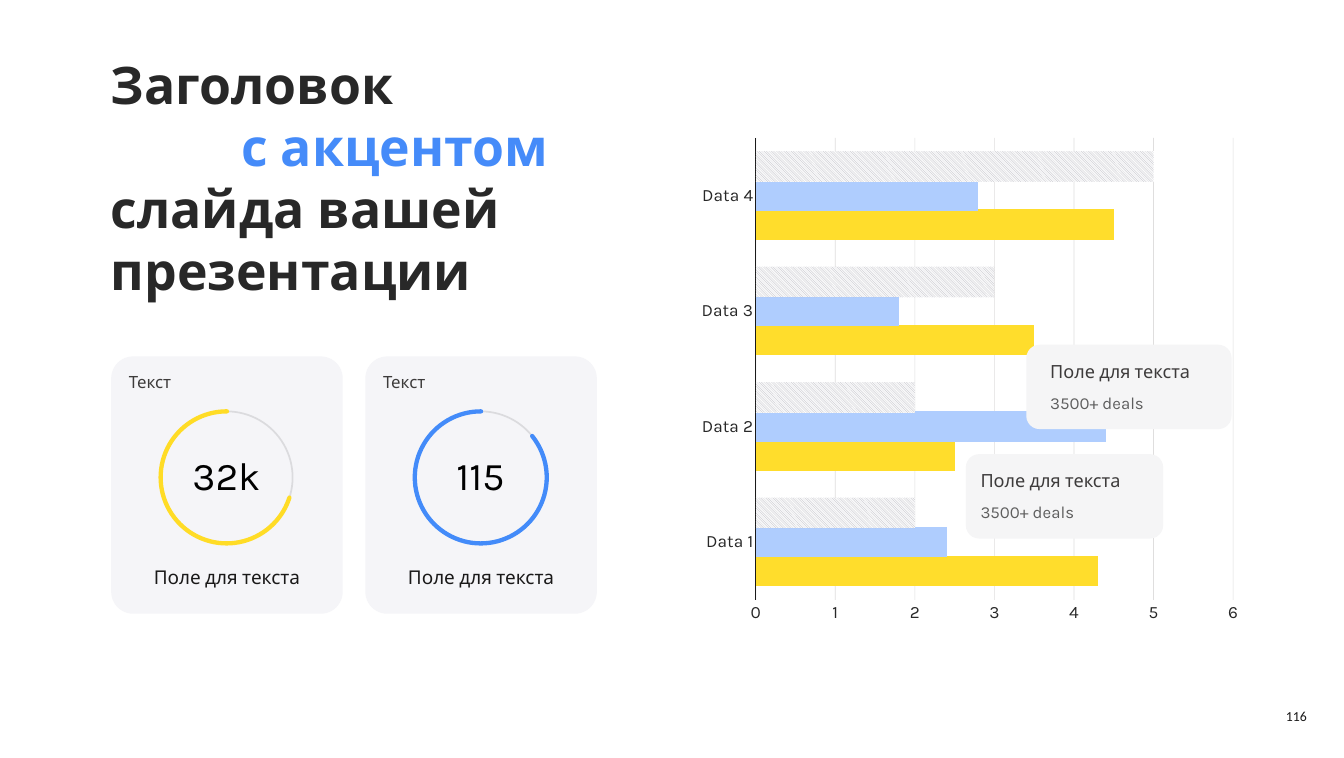
from pptx import Presentation
from pptx.chart.data import CategoryChartData
from pptx.dml.color import RGBColor
from pptx.enum.chart import XL_CHART_TYPE as Chart, XL_TICK_MARK as Tick
from pptx.enum.dml import MSO_PATTERN as Pattern
from pptx.enum.shapes import MSO_SHAPE as Shape
from pptx.enum.text import MSO_ANCHOR as Anchor, PP_ALIGN as Align
from pptx.oxml import parse_xml
from pptx.oxml.ns import nsdecls
from pptx.util import Pt

PX = 9000

deck = Presentation()
deck.slide_width, deck.slide_height = 2200 * PX, 1240 * PX
slide = deck.slides.add_slide(deck.slide_layouts[6])
shapes = slide.shapes


def tint(fill, color, alpha=100):
    fill.solid()
    fill.fore_color.rgb = RGBColor.from_string(color)
    if alpha < 100:
        node = fill._xPr.find(".//{*}srgbClr")
        node.append(parse_xml(f'<a:alpha {nsdecls("a")} val="{alpha * 1000}"/>'))


def text(words, x, y, w, h, size, color, font="Karla", bold=False,
         align=Align.LEFT, anchor=Anchor.TOP, space=None):
    box = shapes.add_textbox(x * PX, y * PX, w * PX, h * PX)
    frame = box.text_frame
    frame.word_wrap = True
    frame.vertical_anchor = anchor
    frame.text = words
    for para in frame.paragraphs:
        para.alignment = align
        para.line_spacing = space
        face = para.runs[0].font
        face.name, face.size, face.bold = font, Pt(size), bold
        tint(face.fill, color)
    return frame


data = CategoryChartData()
data.categories = ["Data 1", "Data 2", "Data 3", "Data 4"]
data.add_series("Series 1", (4.3, 2.5, 3.5, 4.5))
data.add_series("Series 2", (2.4, 4.4, 1.8, 2.8))
data.add_series("Series 3", (2, 2, 3, 5))
chart = shapes.add_chart(Chart.BAR_CLUSTERED, 1131 * PX, 209 * PX,
                         915 * PX, 826 * PX, data).chart
chart.has_legend = False
chart.has_title = False
chart.font.name, chart.font.size = "Calibri", Pt(12)
tint(chart.font.fill, "A0A1A3")
plot = chart.plots[0]
plot.gap_width, plot.overlap, plot.vary_by_categories = 87, 5, False
for bars, color in zip(plot.series, ("FFDD2C", "AFCDFE")):
    tint(bars.format.fill, color)
hatch = plot.series[2].format.fill
hatch.patterned()
hatch.pattern = Pattern.LIGHT_DOWNWARD_DIAGONAL
hatch.fore_color.rgb = RGBColor.from_string("B4B4BC")
hatch.back_color.rgb = RGBColor.from_string("FFFFFF")

rows, scale = chart.category_axis, chart.value_axis
for axis in (rows, scale):
    axis.major_tick_mark = axis.minor_tick_mark = Tick.NONE
    face = axis.tick_labels.font
    face.name, face.size = "Karla", Pt(20)
    tint(face.fill, "282828")
rows.format.line.width = Pt(1.5)
tint(rows.format.line.fill, "1A1A1A")
scale.minimum_scale, scale.maximum_scale, scale.major_unit = 0, 6, 1
scale.format.line.fill.background()
grid = scale.major_gridlines.format.line
grid.width = Pt(0.75)
tint(grid.fill, "8E8A8A", 27)

area = chart._chartSpace.chart.plotArea
for old in area.findall("{*}layout"):
    area.remove(old)
area.insert(0, parse_xml(
    f'<c:layout {nsdecls("c")}><c:manualLayout><c:layoutTarget val="inner"/>'
    '<c:xMode val="edge"/><c:yMode val="edge"/><c:x val="0.116"/><c:y val="0.02"/>'
    '<c:w val="0.854"/><c:h val="0.915"/></c:manualLayout></c:layout>'))

title = text("Заголовок\nс акцентом\nслайда вашей презентации", 181, 179, 831, 318,
             60, "282828", bold=True, anchor=Anchor.BOTTOM, space=Pt(72))
title.margin_left, title.margin_bottom = 0, 4 * PX
accent = title.paragraphs[1]
accent._p.get_or_add_pPr().set("marL", str(214 * PX))
tint(accent.runs[0].font.fill, "458BF9")

panels = (
    (1581, 743, 323, 138, 0.157, "F5F5F6"),
    (1680, 564, 336, 138, 0.157, "F5F5F6"),
    (598, 583, 379, 421, 0.095, "F5F5F8"),
    (182, 583, 379, 421, 0.095, "F5F5F8"),
)
for x, y, w, h, curve, color in panels:
    panel = shapes.add_shape(Shape.ROUNDED_RECTANGLE, x * PX, y * PX, w * PX, h * PX)
    panel.shadow.inherit = False
    panel.adjustments[0] = curve
    tint(panel.fill, color)
    panel.line.fill.background()

for x, y in ((1595, 755), (1709, 576)):
    text("3500+ deals", x, y + 45, 337, 56, 19.5, "5E5E5E", space=1.5)
    text("Поле для текста", x, y, 337, 53, 21, "3D3B3B", space=Pt(31))

for x, count, start, color in ((598, "115", 321.2, "438BF9"), (182, "32k", 17.88, "FFDC26")):
    dial = shapes.add_group_shape().shapes
    spot = ((x + 81) * PX, 673 * PX, 216 * PX, 216 * PX)
    ring = dial.add_shape(Shape.OVAL, *spot)
    arc = dial.add_shape(Shape.ARC, *spot)
    arc.adjustments[0], arc.adjustments[1] = start * 0.6, 270.29 * 0.6
    for part, width, shade, alpha in ((ring, 2, "A0A1A3", 30), (arc, 5, color, 100)):
        part.shadow.inherit = False
        part.fill.background()
        part.line.width = Pt(width)
        tint(part.line.fill, shade, alpha)
    arc.line._get_or_add_ln().set("cap", "rnd")
    text("Поле для текста", x + 28, 912, 323, 54, 22, "1A1919",
         align=Align.CENTER, anchor=Anchor.MIDDLE, space=Pt(32))
    text("Текст", x + 19, 587, 164, 56, 19.5, "3D3B3B", space=1.5)
    text(count, x + 87, 734, 203, 88, 45.5, "000000", align=Align.CENTER)

text("116", 2030, 1147, 119, 48, 16, "1A1919", font="Calibri",
     align=Align.RIGHT, anchor=Anchor.MIDDLE)

deck.save("out.pptx")
